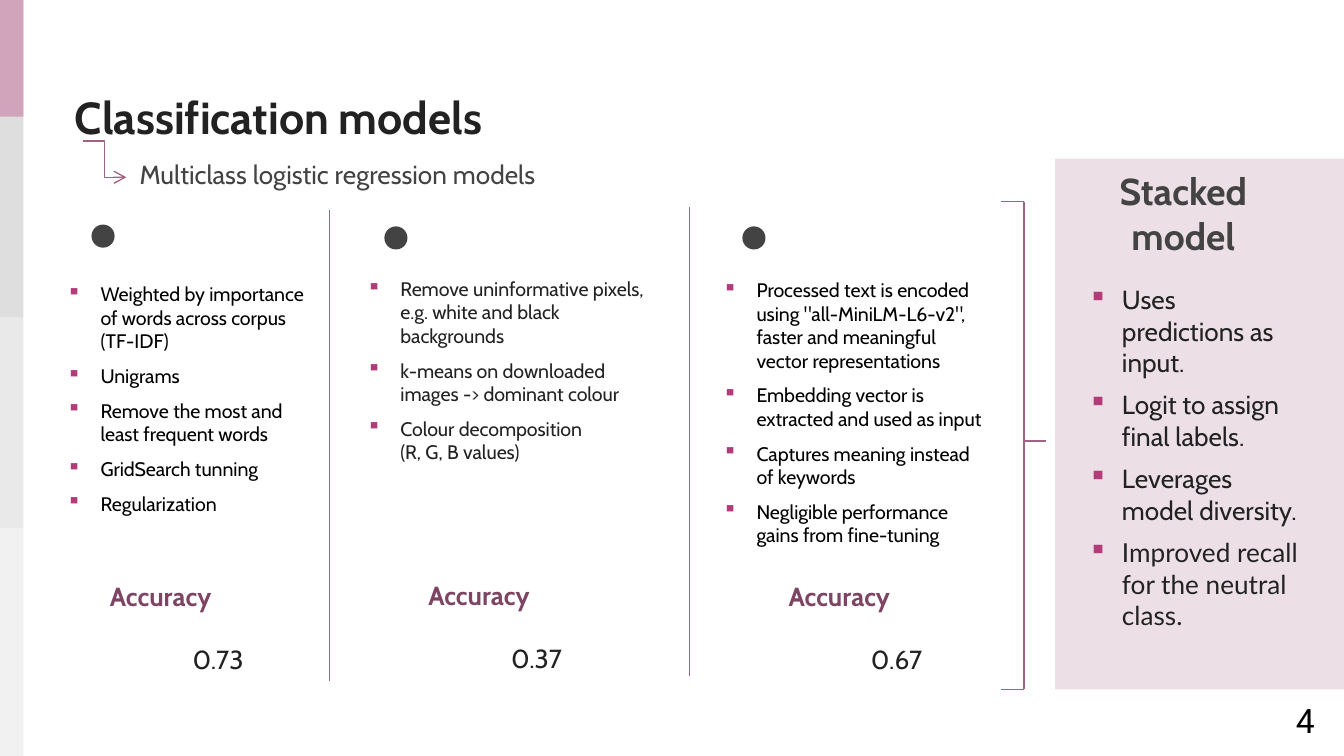
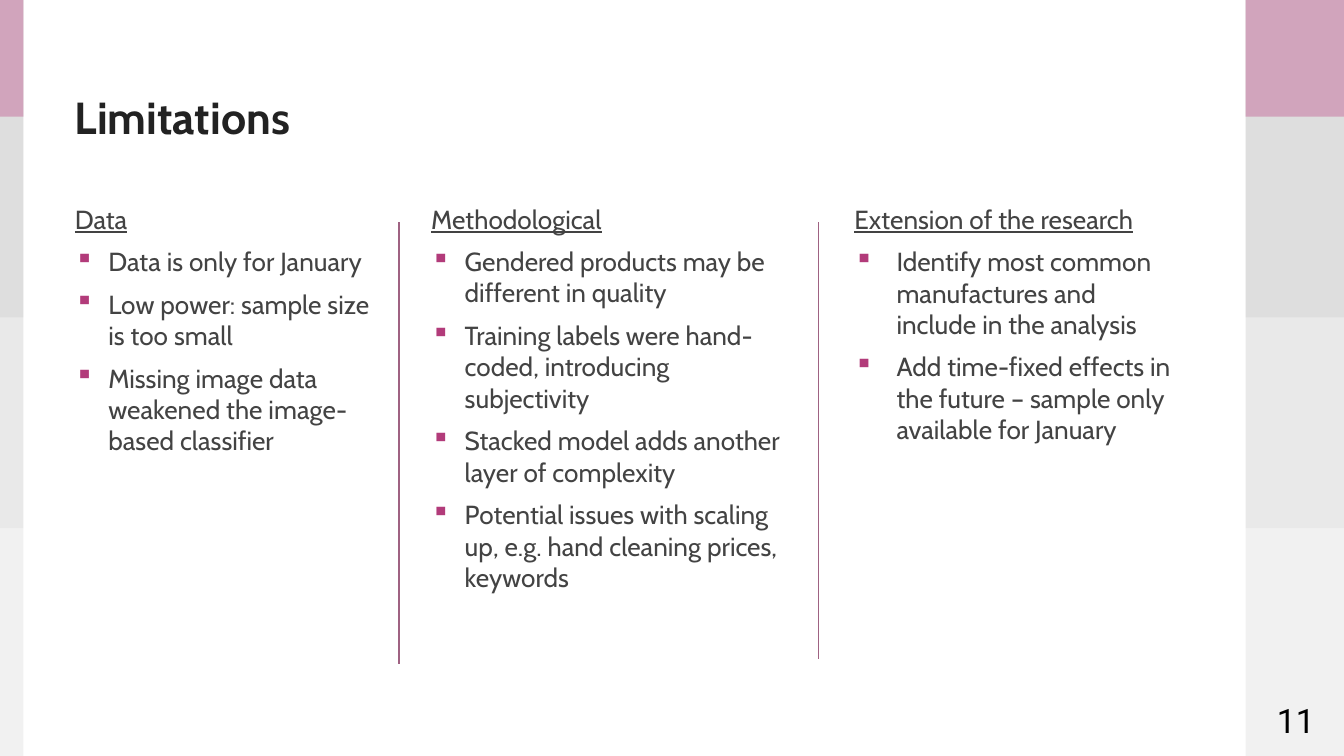
from dataclasses import dataclass, replace

from lxml import etree
from pptx import Presentation, util as u
from pptx.dml import color
from pptx.enum import shapes, text
from pptx.oxml import ns

Pt = u.Pt
ALIGN = text.PP_ALIGN
ANCHOR = text.MSO_ANCHOR
SHAPE = shapes.MSO_SHAPE
CONNECTOR = shapes.MSO_CONNECTOR

SLIDE_W, SLIDE_H = 720, 405
COLORS = {
    "ink": "222222", "black": "000000", "grey": "434343", "rule": "9F6282",
    "accent": "7E4463", "bullet": "B23B7A", "panel": "A16685",
    "band_pink": "D1A4BC", "band_dark": "7F7F7F", "band_light": "A6A6A6",
}
ROOMY = dict.fromkeys(("margin_left", "margin_right", "margin_top", "margin_bottom"), Pt(7.2))


@dataclass(frozen=True)
class Style:
    size: float
    color: str
    name: str = "Cabin"
    bold: bool = False
    underline: bool = False


@dataclass(frozen=True)
class Para:
    text: str
    style: Style
    align: ALIGN = ALIGN.LEFT
    before: float = 0
    after: float = 0
    indent: float = 0  # a bulleted paragraph when above zero


@dataclass(frozen=True)
class Box:
    left: float
    top: float
    width: float
    height: float


@dataclass(frozen=True)
class ModelColumn:
    bullets: Box
    style: Style
    items: tuple[str, ...]
    dot: tuple[float, float]
    score_at: tuple[float, float]
    score: str


@dataclass(frozen=True)
class LimitColumn:
    box: Box
    heading: str
    items: tuple[str, ...]
    indent: float = 18


TITLE = Style(24, "ink", bold=True)
BODY = Style(14, "grey")
HEADING = replace(BODY, underline=True)
STACKED_TITLE = Style(20, "grey", bold=True)
STACKED_BODY = Style(14, "ink")
ACCURACY = Style(14, "accent", bold=True)
SMALL = Style(10.5, "black")
PAGE_NUMBER = Style(18, "black", "Roboto")


# Drawing helpers
def rgb(key: str) -> color.RGBColor:
    return color.RGBColor.from_string(COLORS[key])


def set_all(target, values: dict) -> None:
    for attribute, value in values.items():
        setattr(target, attribute, value)


def bulleted(items, style: Style, indent: float = 18) -> list[Para]:
    return [Para(item, style, after=6, indent=indent) for item in items]


def add_bullet(paragraph, indent: float) -> None:
    props = paragraph._p.get_or_add_pPr()
    props.set("marL", str(Pt(indent)))
    props.set("indent", str(-Pt(indent)))
    tint = etree.SubElement(props, ns.qn("a:buClr"))
    etree.SubElement(tint, ns.qn("a:srgbClr"), val=COLORS["bullet"])
    etree.SubElement(props, ns.qn("a:buChar"), char="▪")


def add_text(slide, box: Box, paras: list[Para], anchor=ANCHOR.TOP, margins=None) -> None:
    frame = slide.shapes.add_textbox(
        Pt(box.left), Pt(box.top), Pt(box.width), Pt(box.height)).text_frame
    set_all(frame, {"word_wrap": True, "vertical_anchor": anchor, **(margins or {})})
    for index, para in enumerate(paras):
        paragraph = frame.add_paragraph() if index else frame.paragraphs[0]
        set_all(paragraph, {"alignment": para.align, "space_before": Pt(para.before),
                            "space_after": Pt(para.after), "text": para.text})
        if para.indent:
            add_bullet(paragraph, para.indent)
        style = para.style
        for run in paragraph.runs:
            set_all(run.font, {"size": Pt(style.size), "name": style.name,
                               "bold": style.bold, "underline": style.underline})
            run.font.color.rgb = rgb(style.color)
        for line_break in paragraph._p.findall(ns.qn("a:br")):
            etree.SubElement(line_break, ns.qn("a:rPr"), sz=str(int(style.size * 100)))


def add_block(slide, box: Box, fill: str, kind=SHAPE.RECTANGLE, opacity: int = 100) -> None:
    block = slide.shapes.add_shape(
        kind, Pt(box.left), Pt(box.top), Pt(box.width), Pt(box.height))
    block.shadow.inherit = False
    block.line.fill.background()
    block.fill.solid()
    block.fill.fore_color.rgb = rgb(fill)
    if opacity < 100:
        tint = block._element.spPr.find(".//" + ns.qn("a:srgbClr"))
        etree.SubElement(tint, ns.qn("a:alpha"), val=str(opacity * 1000))


def add_rule(slide, x1: float, y1: float, x2: float, y2: float,
             kind=CONNECTOR.STRAIGHT, arrow: bool = False) -> None:
    rule = slide.shapes.add_connector(kind, Pt(x1), Pt(y1), Pt(x2), Pt(y2))
    rule.line.width = Pt(0.75)
    rule.line.color.rgb = rgb("rule")
    if arrow:
        etree.SubElement(rule.line._get_or_add_ln(), ns.qn("a:tailEnd"), type="arrow")
    etree.SubElement(rule._element.spPr, ns.qn("a:effectLst"))


# Parts both slides share
def add_side_band(slide, left: float, width: float) -> None:
    for height, fill, opacity in ((SLIDE_H, "band_dark", 10), (283, "band_light", 10),
                                  (170, "band_dark", 10), (62.6, "band_pink", 100)):
        add_block(slide, Box(left, 0, width, height), fill, opacity=opacity)


def start_slide(deck, title: str):
    slide = deck.slides.add_slide(deck.slide_layouts[6])
    add_side_band(slide, -0.6, 13.2)
    add_text(slide, Box(33, 43.2, 435.6, 38.2), [Para(title, TITLE)], ANCHOR.MIDDLE, ROOMY)
    return slide


def add_page_number(slide, number: int) -> None:
    add_text(slide, Box(668.2, 371.5, 43.2, 31),
             [Para(str(number), PAGE_NUMBER, ALIGN.RIGHT)])


# Content
MODELS = (
    ModelColumn(Box(28.8, 144, 142.6, 156.2), SMALL,
                ("Weighted by importance of words across corpus (TF-IDF)", "Unigrams",
                 "Remove the most and least frequent words", "GridSearch tunning",
                 "Regularization"),
                (55.2, 126.5), (34.6, 307.4), "0.73"),
    ModelColumn(Box(189.4, 141.1, 171.4, 133.9), replace(SMALL, color="ink"),
                ("Remove uninformative pixels, e.g. white and black backgrounds",
                 "k-means on downloaded images -> dominant colour",
                 "Colour decomposition\n(R, G, B values)"),
                (212.1, 127.5), (205.2, 306.7), "0.37"),
    ModelColumn(Box(380.2, 141.8, 157.7, 156.2), SMALL,
                ('Processed text is encoded using "all-MiniLM-L6-v2", faster and '
                 "meaningful vector representations",
                 "Embedding vector is extracted and used as input",
                 "Captures meaning instead of keywords",
                 "Negligible performance gains from fine-tuning"),
                (403.9, 127.5), (398.2, 307.4), "0.67"),
)
STACKED_ITEMS = ("Uses predictions as input.", "Logit to assign final labels.",
                 "Leverages model diversity.")
LIMITS = (
    LimitColumn(Box(33, 101.5, 180, 162.7), "Data",
                ("Data is only for January", "Low power: sample size is too small",
                 "Missing image data weakened the image-based classifier")),
    LimitColumn(Box(223.9, 101.5, 206.6, 283), "Methodological",
                ("Gendered products may be different in quality",
                 "Training labels were hand-coded, introducing subjectivity",
                 "Stacked model adds another layer of complexity",
                 "Potential issues with scaling up, e.g. hand cleaning prices, keywords")),
    LimitColumn(Box(450.7, 101.5, 184.3, 174.2), "Extension of the research",
                ("Identify most common manufactures and include in the analysis",
                 "Add time-fixed effects in the future – sample only available for January"),
                22.5),
)


def build_models(deck) -> None:
    slide = start_slide(deck, "Classification models")
    add_rule(slide, 44.6, 75.6, 67.7, 95, CONNECTOR.ELBOW, arrow=True)
    add_text(slide, Box(67.7, 81.4, 271.4, 41),
             [Para("Multiclass logistic regression models", BODY)])

    # Three base models
    dot_size = 12.4
    for model in MODELS:
        x, y = model.dot
        add_block(slide, Box(x - dot_size / 2, y - dot_size / 2, dot_size, dot_size),
                  "grey", SHAPE.OVAL)
        add_text(slide, model.bullets, bulleted(model.items, model.style), margins=ROOMY)
        add_text(slide, Box(*model.score_at, 103, 58.3),
                 [Para("Accuracy", ACCURACY, ALIGN.CENTER),
                  Para(model.score, STACKED_BODY, ALIGN.RIGHT, before=17)])
    add_rule(slide, 176.4, 112.3, 176.4, 365)
    add_rule(slide, 369.4, 110.9, 369.4, 362.2)

    # Bracket leading to the stacked model
    spine, top, bottom = 548.6, 108, 369.4
    add_rule(slide, spine, top, spine, bottom)
    for y in (top, bottom):
        add_rule(slide, spine, y, 536.4, y)
    add_rule(slide, 560.2, 236.2, spine, 236.2)

    # Stacked model panel
    add_block(slide, Box(565.2, 85, 154.8, 284.4), "panel", opacity=20)
    add_text(slide, Box(576.7, 94.3, 114.5, 51.1),
             [Para("Stacked model", STACKED_TITLE, ALIGN.CENTER)], ANCHOR.BOTTOM, ROOMY)
    recall = bulleted(("Improved recall for the neutral class.",),
                      replace(STACKED_BODY, name="Lato"))
    add_text(slide, Box(576, 144.7, 127.4, 211),
             bulleted(STACKED_ITEMS, STACKED_BODY) + recall, margins=ROOMY)
    add_page_number(slide, 4)


def build_limitations(deck) -> None:
    slide = start_slide(deck, "Limitations")
    add_side_band(slide, 667.4, 52.6)
    for column in LIMITS:
        add_text(slide, column.box,
                 [Para(column.heading, HEADING, after=6)]
                 + bulleted(column.items, BODY, column.indent), margins=ROOMY)
    for x, bottom in ((213.8, 355.7), (438.5, 352.8)):
        add_rule(slide, x, bottom, x, 118.8)
    add_page_number(slide, 11)


def main() -> None:
    deck = Presentation()
    set_all(deck, {"slide_width": Pt(SLIDE_W), "slide_height": Pt(SLIDE_H)})
    build_models(deck)
    build_limitations(deck)
    deck.save("out.pptx")


if __name__ == "__main__":
    main()
